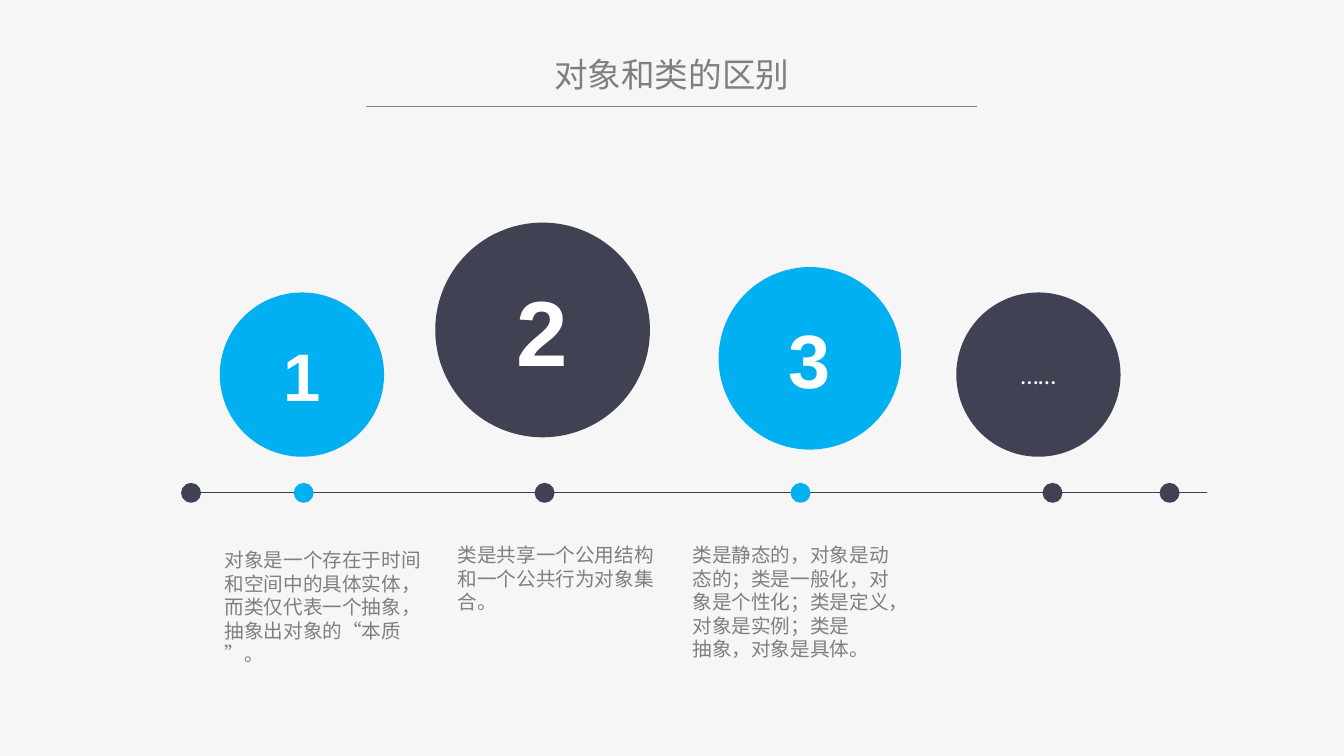
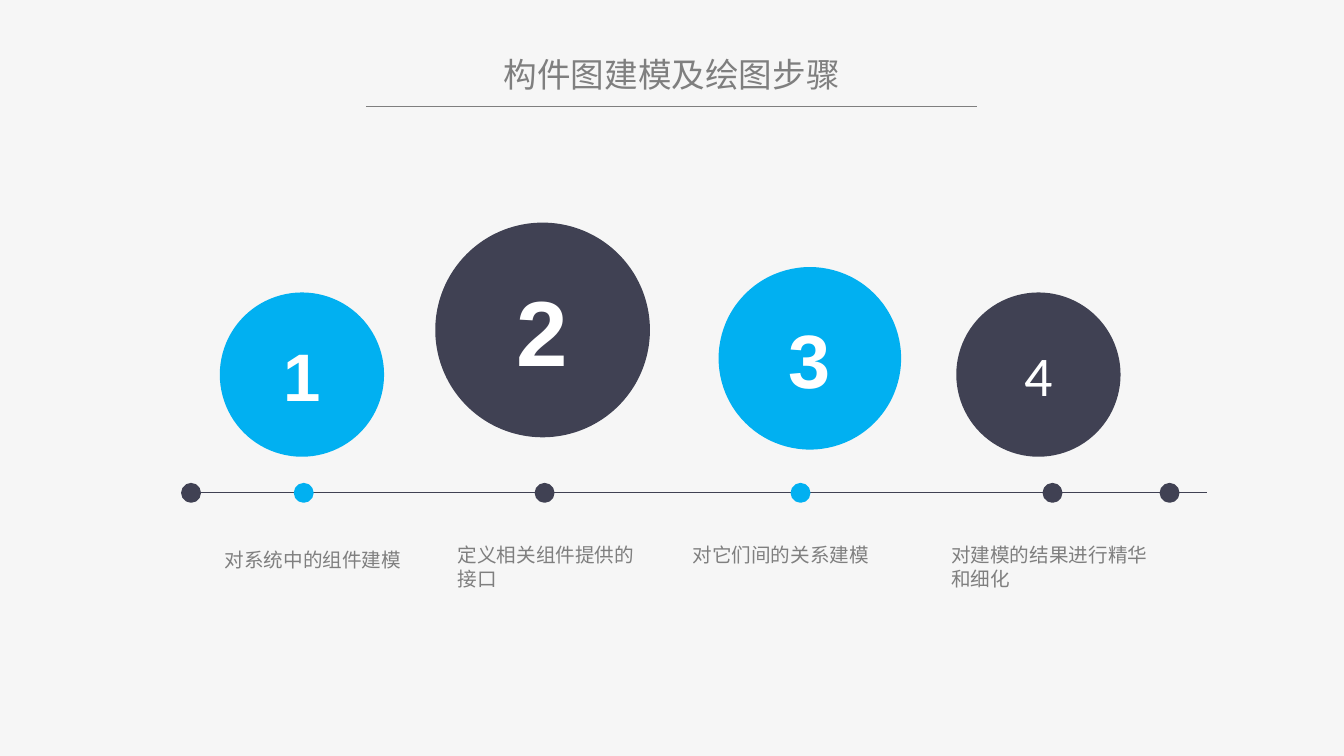
from dataclasses import dataclass

import pptx
import pptx.dml.color
import pptx.enum.shapes
import pptx.enum.text
import pptx.oxml
import pptx.oxml.ns
import pptx.util
from pptx.util import Cm

ALIGN = pptx.enum.text.PP_ALIGN
ANCHOR = pptx.enum.text.MSO_ANCHOR
AUTO_SIZE = pptx.enum.text.MSO_AUTO_SIZE


# Shared look
@dataclass(frozen=True)
class Theme:
    background: str = "F6F6F6"
    grey: str = "7F7F7F"
    dark: str = "404153"
    blue: str = "01B0F1"
    white: str = "FFFFFF"
    chinese: str = "Noto Sans CJK SC"
    latin: str = "Arial"
    light_latin: str = "Calibri"
    title_size: int = 24
    caption_size: int = 14
    rule_width: float = 1
    timeline_width: float = 0.75
    dot_outline: float = 2


THEME = Theme()

# Geometry in centimetres
TITLE_BOX = (9.88, 1.35, 14.1, 1.02)
TITLE_RULE = (9.22, 24.61, 2.69)
TIMELINE = (4.93, 30.43, 12.42)
DOT_SIZE = 0.43
DOTS = [
    (4.6, THEME.dark), (7.44, THEME.blue), (13.51, THEME.dark),
    (19.96, THEME.blue), (26.31, THEME.dark), (29.26, THEME.dark),
]
# Left, top, diameter, colour
CIRCLES = [
    (5.54, 7.37, 4.14, THEME.blue),
    (10.97, 5.61, 5.41, THEME.dark),
    (18.11, 6.73, 4.6, THEME.blue),
    (24.1, 7.37, 4.14, THEME.dark),
]
# Text, size, font, bold
NUMBERS = [
    ("1", 48, THEME.latin, True),
    ("2", 66, THEME.latin, True),
    ("3", 54, THEME.latin, True),
]
# Left, top, Latin font
CAPTION_PLACES = [
    (5.41, 13.69, THEME.latin),
    (11.28, 13.56, THEME.chinese),
    (17.2, 13.56, THEME.chinese),
    (23.72, 13.56, THEME.chinese),
]

# Slide content; a caption is width, height, paragraphs
SLIDES = [
    {
        "title": "对象和类的区别",
        "last_number": ("……", 18, THEME.light_latin, False),
        "captions": [
            (5.54, 4.09, ["对象是一个存在于时间和空间中的具体实体，而类仅代表一个抽象，"
                          "抽象出对象的“本质", "”。"]),
            (5.54, 2.03, ["类是共享一个公用结构和一个公共行为对象集合。"]),
            (5.54, 3.2, ["类是静态的，对象是动态的；类是一般化，对象是个性化；"
                         "类是定义，对象是实例；类是", "抽象，对象是具体。"]),
        ],
    },
    {
        "title": "构件图建模及绘图步骤",
        "last_number": ("4", 40, THEME.light_latin, False),
        "captions": [
            (5.54, 0.86, ["对系统中的组件建模"]),
            (5.13, 1.45, ["定义相关组件提供的接口"]),
            (5.54, 0.86, ["对它们间的关系建模"]),
            (5.54, 1.45, ["对建模的结果进行精华和细化"]),
        ],
    },
]


# Formatting helpers
def rgb(value):
    return pptx.dml.color.RGBColor.from_string(value)


def set_attributes(target, values):
    for name, value in values.items():
        setattr(target, name, value)


def write_paragraph(paragraph, text, size, color, latin, east_asian,
                    bold=False, alignment=ALIGN.LEFT):
    paragraph.alignment = alignment
    run = paragraph.add_run()
    run.text = text
    set_attributes(run.font, {
        "size": pptx.util.Pt(size), "name": latin, "bold": bold})
    run.font.color.rgb = rgb(color)
    properties = run.font._element
    latin_element = properties.find(pptx.oxml.ns.qn("a:latin"))
    east_asian_element = pptx.oxml.parse_xml(
        f'<a:ea {pptx.oxml.ns.nsdecls("a")} typeface="{east_asian}"/>')
    latin_element.addnext(east_asian_element)


# Slide elements
def add_line(slide, left, right, y, color, width):
    line = slide.shapes.add_connector(
        pptx.enum.shapes.MSO_CONNECTOR.STRAIGHT,
        Cm(left), Cm(y), Cm(right), Cm(y))
    line.line.color.rgb = rgb(color)
    line.line.width = pptx.util.Pt(width)
    line._element.spPr.append(pptx.oxml.parse_xml(
        f'<a:effectLst {pptx.oxml.ns.nsdecls("a")}/>'))


def add_circle(slide, left, top, diameter, color, outline=None):
    circle = slide.shapes.add_shape(
        pptx.enum.shapes.MSO_SHAPE.OVAL,
        Cm(left), Cm(top), Cm(diameter), Cm(diameter))
    circle.shadow.inherit = False
    circle.fill.solid()
    circle.fill.fore_color.rgb = rgb(color)
    if outline:
        circle.line.color.rgb = rgb(color)
        circle.line.width = pptx.util.Pt(outline)
    else:
        circle.line.fill.background()
    return circle


def add_title(slide, text):
    title = slide.shapes.title
    left, top, width, height = map(Cm, TITLE_BOX)
    set_attributes(title, {
        "left": left, "top": top, "width": width, "height": height})
    set_attributes(title.text_frame, {
        "margin_left": 0, "margin_right": 0, "margin_top": 0,
        "margin_bottom": 0, "vertical_anchor": ANCHOR.TOP,
        "auto_size": AUTO_SIZE.NONE, "word_wrap": True})
    write_paragraph(title.text_frame.paragraphs[0], text, THEME.title_size,
                    THEME.grey, THEME.chinese, THEME.chinese,
                    alignment=ALIGN.CENTER)
    add_line(slide, *TITLE_RULE, THEME.grey, THEME.rule_width)


def add_numbered_circle(slide, place, number):
    circle = add_circle(slide, *place)
    text, size, font, bold = number
    circle.text_frame.vertical_anchor = ANCHOR.MIDDLE
    write_paragraph(circle.text_frame.paragraphs[0], text, size, THEME.white,
                    font, font, bold, ALIGN.CENTER)


def add_timeline(slide):
    add_line(slide, *TIMELINE, THEME.dark, THEME.timeline_width)
    top = TIMELINE[2] - DOT_SIZE / 2
    for left, color in DOTS:
        add_circle(slide, left, top, DOT_SIZE, color, THEME.dot_outline)


def add_caption(slide, place, caption):
    left, top, latin = place
    width, height, texts = caption
    box = slide.shapes.add_textbox(Cm(left), Cm(top), Cm(width), Cm(height))
    frame = box.text_frame
    set_attributes(frame, {
        "word_wrap": True, "auto_size": AUTO_SIZE.SHAPE_TO_FIT_TEXT})
    for index, text in enumerate(texts):
        paragraph = frame.add_paragraph() if index else frame.paragraphs[0]
        write_paragraph(paragraph, text, THEME.caption_size, THEME.grey,
                        latin, THEME.chinese)


def add_timeline_slide(presentation, content):
    title_only = presentation.slide_layouts.get_by_name("Title Only")
    slide = presentation.slides.add_slide(title_only)
    add_title(slide, content["title"])
    for place, number in zip(CIRCLES, NUMBERS + [content["last_number"]]):
        add_numbered_circle(slide, place, number)
    add_timeline(slide)
    for place, caption in zip(CAPTION_PLACES, content["captions"]):
        add_caption(slide, place, caption)


def main():
    presentation = pptx.Presentation()
    presentation.slide_width = Cm(33.87)
    presentation.slide_height = Cm(19.05)
    background = presentation.slide_master.background.fill
    background.solid()
    background.fore_color.rgb = rgb(THEME.background)
    for content in SLIDES:
        add_timeline_slide(presentation, content)
    presentation.save("out.pptx")


if __name__ == "__main__":
    main()
